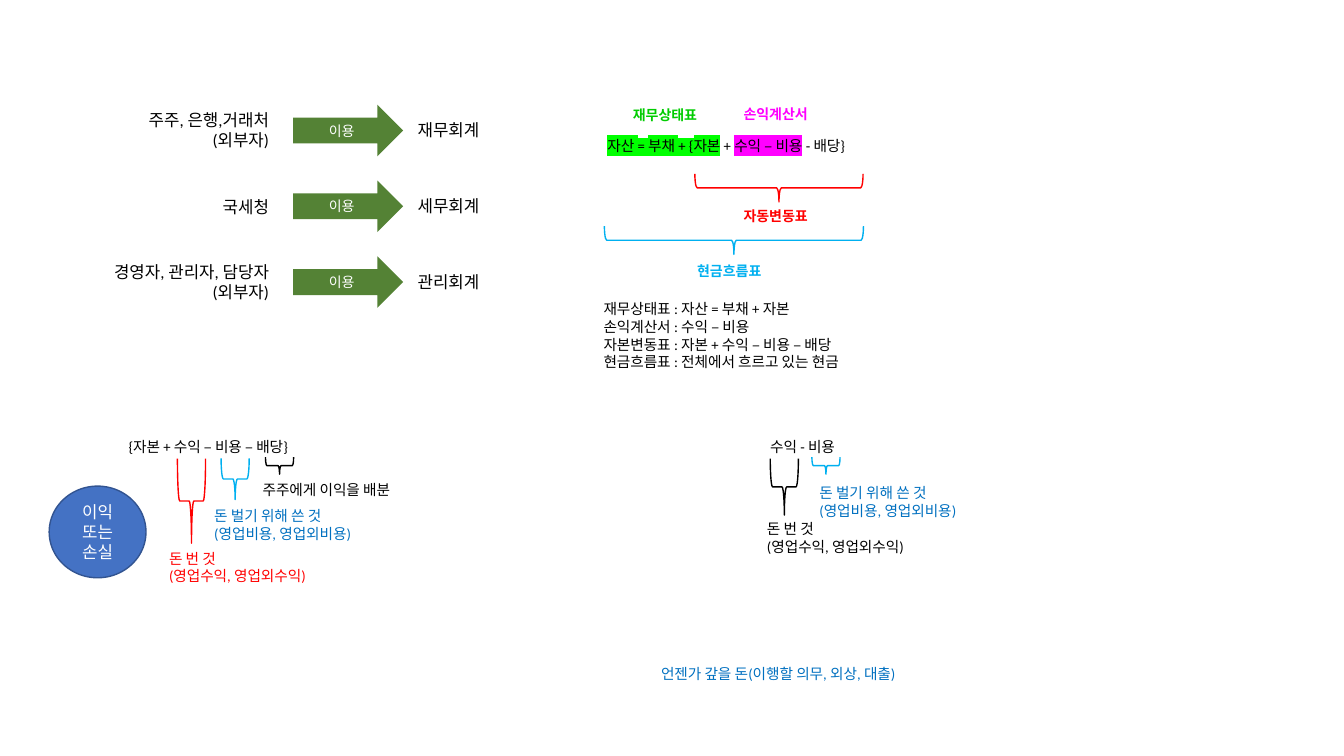
from lxml import etree
from pptx import Presentation
from pptx.dml.color import RGBColor
from pptx.enum.shapes import MSO_SHAPE
from pptx.enum.text import MSO_AUTO_SIZE, PP_ALIGN
from pptx.oxml.ns import qn
from pptx.util import Cm, Pt

ARROW, BRACE, CIRCLE = MSO_SHAPE.RIGHT_ARROW, MSO_SHAPE.RIGHT_BRACE, MSO_SHAPE.OVAL
LEFT, CENTER, RIGHT = PP_ALIGN.LEFT, PP_ALIGN.CENTER, PP_ALIGN.RIGHT
GROW = MSO_AUTO_SIZE.SHAPE_TO_FIT_TEXT
FONT = "Calibri"
COLORS = {
    "black": "000000", "white": "FFFFFF", "red": "FF0000", "sky": "00B0F0",
    "blue": "0070C0", "green": "00CC00", "magenta": "FF00FF", "lime": "00FF00",
    "arrow": "548235", "circle": "4472C4", "circle_line": "325491",
}
EARNED = ["돈 번 것", "(영업수익, 영업외수익)"]
SPENT = ["돈 벌기 위해 쓴 것", "(영업비용, 영업외비용)"]


def color(name):
    """Return the named colour."""
    return RGBColor.from_string(COLORS[name])


def highlight(run, name):
    """Put a marker colour behind a run."""
    marker = etree.Element(qn("a:highlight"))
    etree.SubElement(marker, qn("a:srgbClr"), val=COLORS[name])
    run.font._element.find(qn("a:solidFill")).addnext(marker)


def write(frame, lines, size=10.5, ink="black", bold=False, align=LEFT):
    """Fill a text frame; a line is a string or a list of (text, marker) pairs."""
    frame.word_wrap = True
    for index, line in enumerate(lines):
        paragraph = frame.add_paragraph() if index else frame.paragraphs[0]
        paragraph.alignment = align
        for text, marker in [(line, None)] if isinstance(line, str) else line:
            run = paragraph.add_run()
            run.text = text
            run.font.size = Pt(size)
            run.font.bold = bold
            run.font.color.rgb = color(ink)
            run.font.name = FONT
            if marker:
                highlight(run, marker)


def add_text(shapes, left, top, width, height, lines, **text_format):
    """Add a text box that grows with its text."""
    shape = shapes.add_textbox(Cm(left), Cm(top), Cm(width), Cm(height))
    write(shape.text_frame, lines, **text_format)
    shape.text_frame.auto_size = GROW


def add_figure(shapes, kind, left, top, width, height, fill=None, line=None):
    """Add a preset shape with the given fill and line colours."""
    shape = shapes.add_shape(kind, Cm(left), Cm(top), Cm(width), Cm(height))
    shape.shadow.inherit = False
    if fill:
        shape.fill.solid()
        shape.fill.fore_color.rgb = color(fill)
    else:
        shape.fill.background()
    if line:
        shape.line.color.rgb = color(line)
        shape.line.width = Pt(1)
    else:
        shape.line.fill.background()
    return shape


def add_brace(shapes, left, top, width, height, line):
    """Add a brace that opens upward and fills the given box."""
    shift = (width - height) / 2
    shape = add_figure(shapes, BRACE, left + shift, top - shift, height, width, line=line)
    shape.rotation = 90


def add_accounting_users(slide, left, top):
    """Draw who uses which kind of accounting."""
    shapes = slide.shapes.add_group_shape().shapes
    rows = [
        (["주주, 은행,거래처", "(외부자)"], 3.91, 0, 1.27, "재무회계"),
        (["국세청"], 3.91, 0.28, 0.76, "세무회계"),
        (["경영자, 관리자, 담당자", "(외부자)"], 4.72, 0, 1.27, "관리회계"),
    ]
    for index, (users, width, drop, height, accounting) in enumerate(rows):
        row_top = top + index * 1.91
        arrow = add_figure(shapes, ARROW, left + 5.08, row_top, 2.77, 1.3, fill="arrow")
        write(arrow.text_frame, ["이용"], size=10, ink="white", align=CENTER)
        add_text(shapes, left + 4.72 - width, row_top + drop, width, height, users,
                 size=12, align=RIGHT)
        add_text(shapes, left + 7.04, row_top + 0.26, 3.91, 0.76, [accounting],
                 size=12, align=CENTER)


def add_statements(slide, left, top):
    """Draw the accounting equation with the statements that cover it."""
    shapes = slide.shapes
    equation = [("자산 = 부채 + {자본", "lime"), (" + ", None),
                ("수익 – 비용", "magenta"), (" - 배당}", None)]
    add_text(shapes, left + 0.1, top + 0.79, 7.44, 0.71, [equation])
    add_brace(shapes, left + 2.55, top + 1.84, 4.24, 0.71, "red")
    add_brace(shapes, left + 0.27, top + 3.16, 6.53, 0.71, "sky")
    labels = [("재무상태표", 0.74, 0.03, "green"), ("손익계산서", 3.53, 0, "magenta"),
              ("자동변동표", 3.53, 2.57, "red"), ("현금흐름표", 2.36, 3.94, "sky")]
    for label, x, y, ink in labels:
        add_text(shapes, left + x, top + y, 2.51, 0.69, [label],
                 size=10, ink=ink, bold=True)
    add_text(shapes, left, top + 4.9, 8.74, 2.06, [
        "재무상태표 : 자산 = 부채 + 자본",
        "손익계산서 : 수익 – 비용",
        "자본변동표 : 자본 + 수익 – 비용 – 배당",
        "현금흐름표 : 전체에서 흐르고 있는 현금",
    ])


def add_breakdown(slide, left, top, formula, formula_left, braces, notes):
    """Draw a formula with braces that lead to notes on its terms."""
    shapes = slide.shapes
    add_text(shapes, left + formula_left, top, 7.44, 0.71, [formula])
    for x, y, height, line in braces:
        add_brace(shapes, left + x, top + y, 0.71, height, line)
    for x, y, width, lines, ink in notes:
        add_text(shapes, left + x, top + y, width, 0.28 + 0.43 * len(lines), lines, ink=ink)


def add_equity(slide, left, top):
    """Draw the equity formula and its profit or loss circle."""
    add_breakdown(
        slide, left, top, "{자본 + 수익 – 비용 – 배당}", 1.75,
        [(3.23, 0.66, 2.13, "red"), (4.33, 0.65, 1.04, "sky"), (5.45, 0.62, 0.43, "black")],
        [(5.13, 1.09, 4.24, ["주주에게 이익을 배분"], "black"),
         (3.91, 1.75, 4.83, SPENT, "blue"), (2.77, 2.82, 4.57, EARNED, "red")])
    circle = add_figure(slide.shapes, CIRCLE, left, top + 1.35, 2.44, 2.31,
                        fill="circle", line="circle_line")
    write(circle.text_frame, ["이익 또는", "손실"], size=12, ink="white", align=CENTER)


def add_income(slide, left, top):
    """Draw the income formula."""
    add_breakdown(
        slide, left, top, "수익 - 비용", 0.08,
        [(0.33, 0.66, 1.42, "black"), (1.38, 0.62, 0.43, "sky")],
        [(0, 2.08, 4.57, EARNED, "black"), (1.32, 1.17, 4.83, SPENT, "blue")])


def main():
    """Build the slide and save it."""
    presentation = Presentation()
    presentation.slide_width, presentation.slide_height = Cm(33.87), Cm(19.05)
    slide = presentation.slides.add_slide(presentation.slide_layouts[6])
    add_accounting_users(slide, 2.31, 2.64)
    add_statements(slide, 14.96, 2.54)
    add_equity(slide, 1.24, 10.9)
    add_income(slide, 19.08, 10.9)
    add_text(slide.shapes, 16.41, 16.64, 7.44, 0.71,
             ["언젠가 갚을 돈(이행할 의무, 외상, 대출)"], ink="blue")
    presentation.save("out.pptx")


if __name__ == "__main__":
    main()
